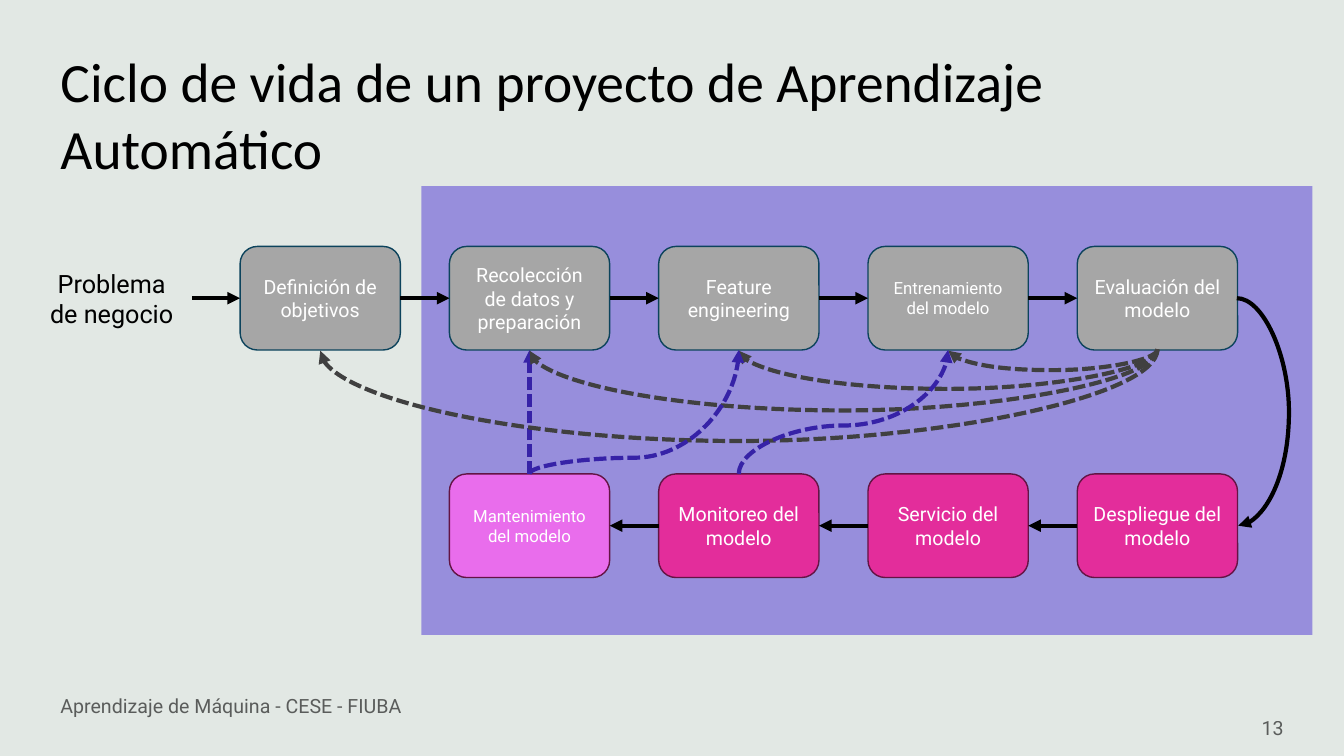
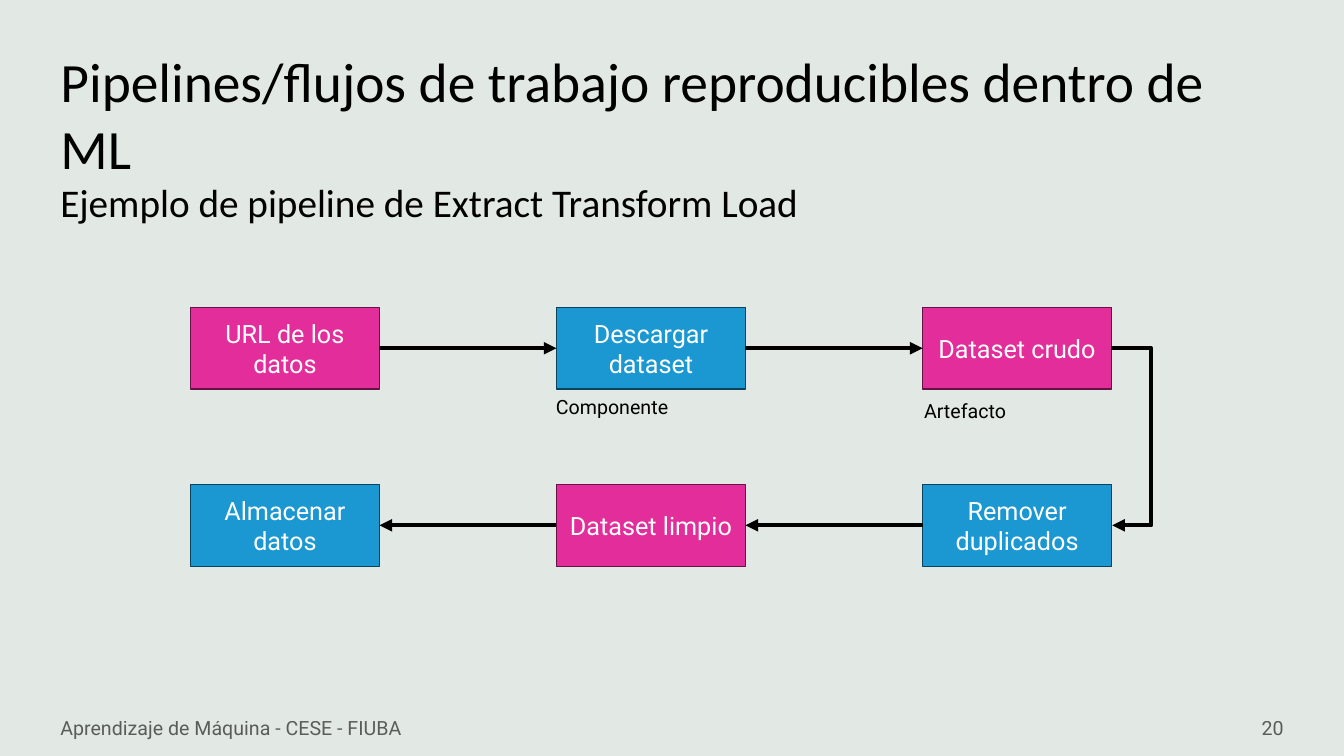
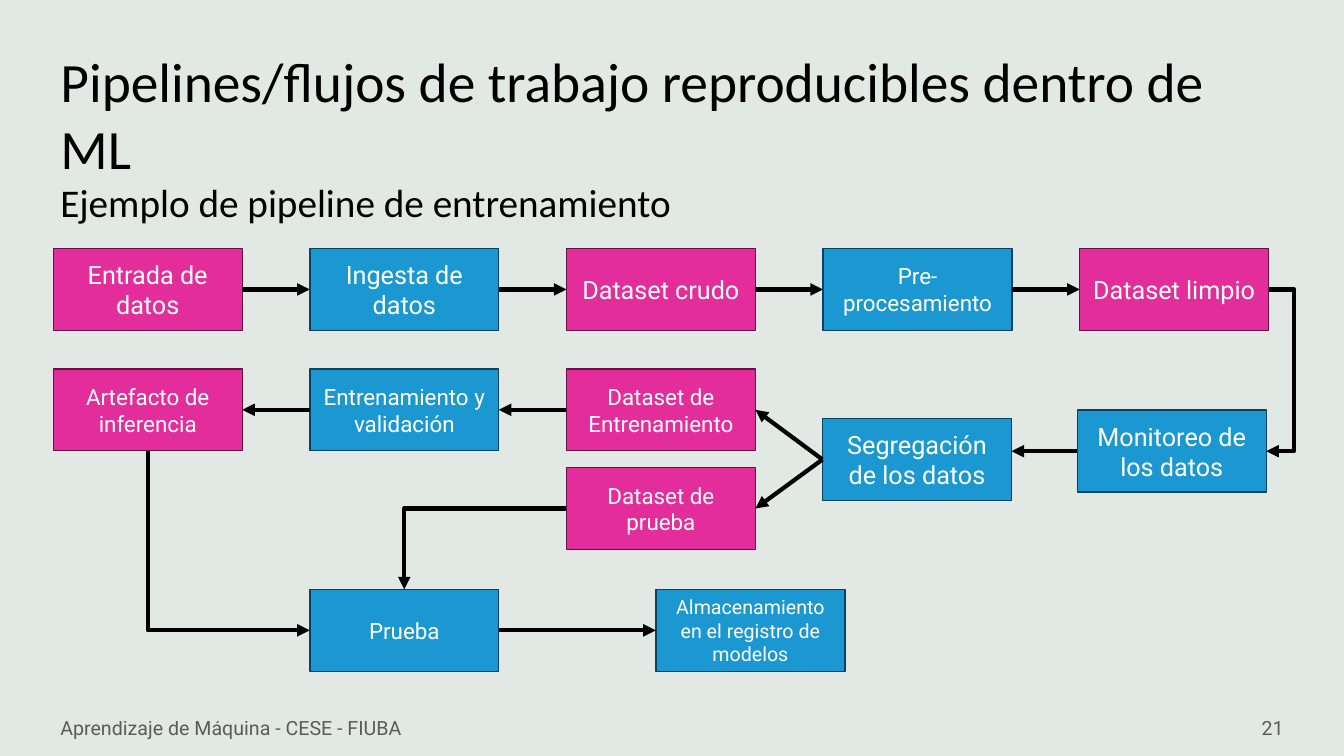
"""Build three slides on machine learning life cycles and pipelines."""
from lxml import etree
from pptx import Presentation
from pptx.dml.color import RGBColor
from pptx.enum.dml import MSO_LINE
from pptx.enum.shapes import MSO_CONNECTOR as CONN, MSO_SHAPE as SHAPE
from pptx.enum.text import MSO_ANCHOR as ANCHOR, MSO_AUTO_SIZE as AUTO, PP_ALIGN as ALIGN
from pptx.oxml.ns import qn
from pptx.util import Pt

BACKGROUND = RGBColor(0xE2, 0xE8, 0xE4)
BLACK = RGBColor(0, 0, 0)
WHITE = RGBColor(0xFF, 0xFF, 0xFF)
PANEL = RGBColor(0x4E, 0x36, 0xD6)
GRAY = RGBColor(0xA6, 0xA6, 0xA6)
DARK_GRAY = RGBColor(0x40, 0x40, 0x40)
BLUE = RGBColor(0x1B, 0x98, 0xD1)
PINK = RGBColor(0xE3, 0x2D, 0x9B)
LILAC = RGBColor(0xE9, 0x6D, 0xEC)
INDIGO = RGBColor(0x36, 0x22, 0xA7)
BLUE_EDGE = RGBColor(0x0C, 0x43, 0x5C)
PINK_EDGE = RGBColor(0x63, 0x14, 0x44)
EDGES = {GRAY: BLUE_EDGE, BLUE: BLUE_EDGE, PINK: PINK_EDGE, LILAC: PINK_EDGE}
TOP, LEFT, BOTTOM, RIGHT = range(4)


def write(shape, text, size, color=BLACK, font="Roboto", align=ALIGN.LEFT, wrap=True):
    """Fill a shape with evenly formatted text."""
    tf = shape.text_frame
    tf.text = text
    tf.word_wrap = wrap
    tf.auto_size = AUTO.NONE
    tf.vertical_anchor = ANCHOR.MIDDLE
    for p in tf.paragraphs:
        p.alignment = align
        for r in p.runs:
            r.font.name, r.font.size, r.font.color.rgb = font, Pt(size), color


def link(s, kind, start, side, end, end_side, via=None, color=BLACK):
    """Draw an arrow between two shapes, or to a point when end_side is None."""
    c = s.shapes.add_connector(kind, 0, 0, 0, 0)
    c.begin_connect(start, side)
    if end_side is None:
        c.end_x, c.end_y = end
    else:
        c.end_connect(end, end_side)
    sp_pr = c.element.spPr
    if kind != CONN.STRAIGHT:
        x1, y1, x2, y2 = c.begin_x, c.begin_y, c.end_x, c.end_y
        upright = side in (TOP, BOTTOM)
        run, rise = (y2 - y1, x1 - x2) if upright else (x2 - x1, y2 - y1)
        run = run or Pt(1)
        c.width, c.height = abs(run), abs(rise)
        c.left = (x1 + x2 - c.width) // 2
        c.top = (y1 + y2 - c.height) // 2
        xfrm = sp_pr.find(qn("a:xfrm"))
        xfrm.set("rot", "5400000" if upright else "0")
        xfrm.set("flipH", str(int(run < 0)))
        xfrm.set("flipV", str(int(rise < 0)))
        geom = sp_pr.find(qn("a:prstGeom"))
        if via is None:
            geom.set("prst", "bentConnector2")
        else:
            adj = round((Pt(via) - (y1 if upright else x1)) / run * 100000)
            etree.SubElement(geom.find(qn("a:avLst")), qn("a:gd"), name="adj1", fmla=f"val {adj}")
    c.line.width = Pt(3)
    c.line.color.rgb = color
    if color != BLACK:
        c.line.dash_style = MSO_LINE.SQUARE_DOT
    etree.SubElement(sp_pr.find(qn("a:ln")), qn("a:tailEnd"), type="triangle")
    etree.SubElement(sp_pr, qn("a:effectLst"))


prs = Presentation()
prs.slide_width, prs.slide_height = Pt(960), Pt(540)
fill = prs.slide_master.background.fill
fill.solid()
fill.fore_color.rgb = BACKGROUND

PIPELINES = "Pipelines/flujos de trabajo reproducibles dentro de ML"
pages = [
    ("Ciclo de vida de un proyecto de Aprendizaje Automático", None, "13", 489.5),
    (PIPELINES, "Ejemplo de pipeline de Extract Transform Load", "20", 505.5),
    (PIPELINES, "Ejemplo de pipeline de entrenamiento", "21", 505.5),
]
slides, translucent = [], []
for title, subtitle, number, footer_top in pages:
    s = prs.slides.add_slide(prs.slide_layouts[5])
    slides.append(s)
    sp = s.shapes.title
    sp.left, sp.top, sp.width, sp.height = Pt(36), Pt(29), Pt(858), Pt(104.5)
    write(sp, title, 39.6, font="Calibri")
    if subtitle:
        sp = s.shapes.add_textbox(Pt(36), Pt(126.5), Pt(858), Pt(40))
        write(sp, subtitle, 28, font="Calibri")
        sp.text_frame.paragraphs[0].line_spacing = 0.9
    for text, x, y, w, align in [
        ("Aprendizaje de Máquina - CESE - FIUBA", 36, footer_top, 324, ALIGN.LEFT),
        (number, 708, 505.5, 216, ALIGN.RIGHT),
    ]:
        sp = s.shapes.add_textbox(Pt(x), Pt(y), Pt(w), Pt(29))
        write(sp, text, 14, align=align)
        translucent.append((sp, 60))

cycle, etl, training = slides
panel = cycle.shapes.add_shape(SHAPE.RECTANGLE, Pt(301), Pt(133), Pt(636.5), Pt(320.5))
panel.shadow.inherit = False
panel.fill.solid()
panel.fill.fore_color.rgb = PANEL
panel.line.fill.background()
translucent.append((panel, 50))
for sp, percent in translucent:
    for color in sp.element.iter(qn("a:srgbClr")):
        etree.SubElement(color, qn("a:alpha"), val=str(percent * 1000))

problem = cycle.shapes.add_textbox(Pt(22.5), Pt(187.5), Pt(114.5), Pt(51))
write(problem, "Problema de negocio", 18, align=ALIGN.CENTER)
for text, x, y in [("Artefacto", 653, 281), ("Componente", 390, 278)]:
    sp = etl.shapes.add_textbox(Pt(x), Pt(y), Pt(100), Pt(24.5))
    write(sp, text, 14, wrap=False)

cycle_x = [171.5 + 149.5 * i for i in range(5)]
etl_x = [136 + 261.5 * i for i in range(3)]
training_x = [38 + 183.3 * i for i in range(5)]
diagrams = [
    (cycle, SHAPE.ROUNDED_RECTANGLE, 114.5, 74, [
        ("Definición de objetivos", cycle_x[0], 176, GRAY, 14),
        ("Recolección de datos y preparación", cycle_x[1], 176, GRAY, 14),
        ("Feature engineering", cycle_x[2], 176, GRAY, 14),
        ("Entrenamiento del modelo", cycle_x[3], 176, GRAY, 12),
        ("Evaluación del modelo", cycle_x[4], 176, GRAY, 14),
        ("Despliegue del modelo", cycle_x[4], 338.5, PINK, 14),
        ("Servicio del modelo", cycle_x[3], 338.5, PINK, 14),
        ("Monitoreo del modelo", cycle_x[2], 338.5, PINK, 14),
        ("Mantenimiento del modelo", cycle_x[1], 338.5, LILAC, 12),
    ]),
    (etl, SHAPE.RECTANGLE, 135, 58.5, [
        ("URL de los\ndatos", etl_x[0], 219.5, PINK, 18),
        ("Descargar dataset", etl_x[1], 219.5, BLUE, 18),
        ("Dataset crudo", etl_x[2], 219.5, PINK, 18),
        ("Remover duplicados", etl_x[2], 346, BLUE, 18),
        ("Dataset limpio", etl_x[1], 346, PINK, 18),
        ("Almacenar datos", etl_x[0], 346, BLUE, 18),
    ]),
    (training, SHAPE.RECTANGLE, 135, 58.5, [
        ("Entrada de datos", training_x[0], 177.5, PINK, 18),
        ("Ingesta de datos", training_x[1], 177.5, BLUE, 18),
        ("Dataset crudo", training_x[2], 177.5, PINK, 18),
        ("Pre-procesamiento", training_x[3], 177.5, BLUE, 16),
        ("Dataset limpio", training_x[4], 177.5, PINK, 18),
        ("Monitoreo de los datos", 769.5, 293, BLUE, 18),
        ("Segregación de los datos", 587.5, 299, BLUE, 18),
        ("Dataset de Entrenamiento", training_x[2], 263.5, PINK, 16),
        ("Entrenamiento y validación", training_x[1], 263.5, BLUE, 16),
        ("Artefacto de inferencia", training_x[0], 263.5, PINK, 16),
        ("Dataset de prueba", training_x[2], 334, PINK, 16),
        ("Prueba", training_x[1], 421, BLUE, 16),
        ("Almacenamiento en el registro de modelos", 468.5, 421, BLUE, 14),
    ]),
]
groups = []
for s, kind, w, h, nodes in diagrams:
    group = []
    for text, x, y, color, size in nodes:
        sp = s.shapes.add_shape(kind, Pt(x), Pt(y), Pt(w), Pt(h))
        sp.shadow.inherit = False
        sp.fill.solid()
        sp.fill.fore_color.rgb = color
        sp.line.color.rgb = EDGES[color]
        sp.line.width = Pt(1)
        write(sp, text, size, WHITE, align=ALIGN.CENTER)
        group.append(sp)
    groups.append(group)

goals, collect, features, train, evaluate, deploy, serve, monitor, maintain = groups[0]
url, download, raw, dedupe, clean, store = groups[1]
(source, ingest, raw_data, preprocess, clean_data, watch, split,
 train_set, fit, artifact, test_set, test, registry) = groups[2]

for s, chain, side, end_side in [
    (cycle, [problem, goals, collect, features, train, evaluate], RIGHT, LEFT),
    (cycle, [deploy, serve, monitor, maintain], LEFT, RIGHT),
    (cycle, [maintain, collect], TOP, BOTTOM),
    (etl, [url, download, raw], RIGHT, LEFT),
    (etl, [dedupe, clean, store], LEFT, RIGHT),
    (training, [source, ingest, raw_data, preprocess, clean_data], RIGHT, LEFT),
    (training, [split, train_set, fit, artifact], LEFT, RIGHT),
    (training, [split, test_set], LEFT, RIGHT),
    (training, [test, registry], RIGHT, LEFT),
]:
    for start, end in zip(chain, chain[1:]):
        color = INDIGO if side == TOP else BLACK
        link(s, CONN.STRAIGHT, start, side, end, end_side, color=color)

watch_middle = watch.top + watch.height // 2
link(training, CONN.STRAIGHT, watch, LEFT, (split.left + split.width, watch_middle), None)

link(cycle, CONN.CURVE, evaluate, RIGHT, deploy, RIGHT, 921.5)
for end, via in [(goals, 316), (collect, 294), (features, 278.5), (train, 265)]:
    link(cycle, CONN.CURVE, evaluate, BOTTOM, end, BOTTOM, via, DARK_GRAY)
for start, end, via in [(maintain, features, 327), (monitor, train, 304)]:
    link(cycle, CONN.CURVE, start, TOP, end, BOTTOM, via, INDIGO)

link(etl, CONN.ELBOW, raw, RIGHT, dedupe, RIGHT, 823)
link(training, CONN.ELBOW, clean_data, RIGHT, watch, RIGHT, 924.5)
link(training, CONN.ELBOW, artifact, BOTTOM, test, LEFT)
link(training, CONN.ELBOW, test_set, LEFT, test, TOP)

prs.save("out.pptx")
